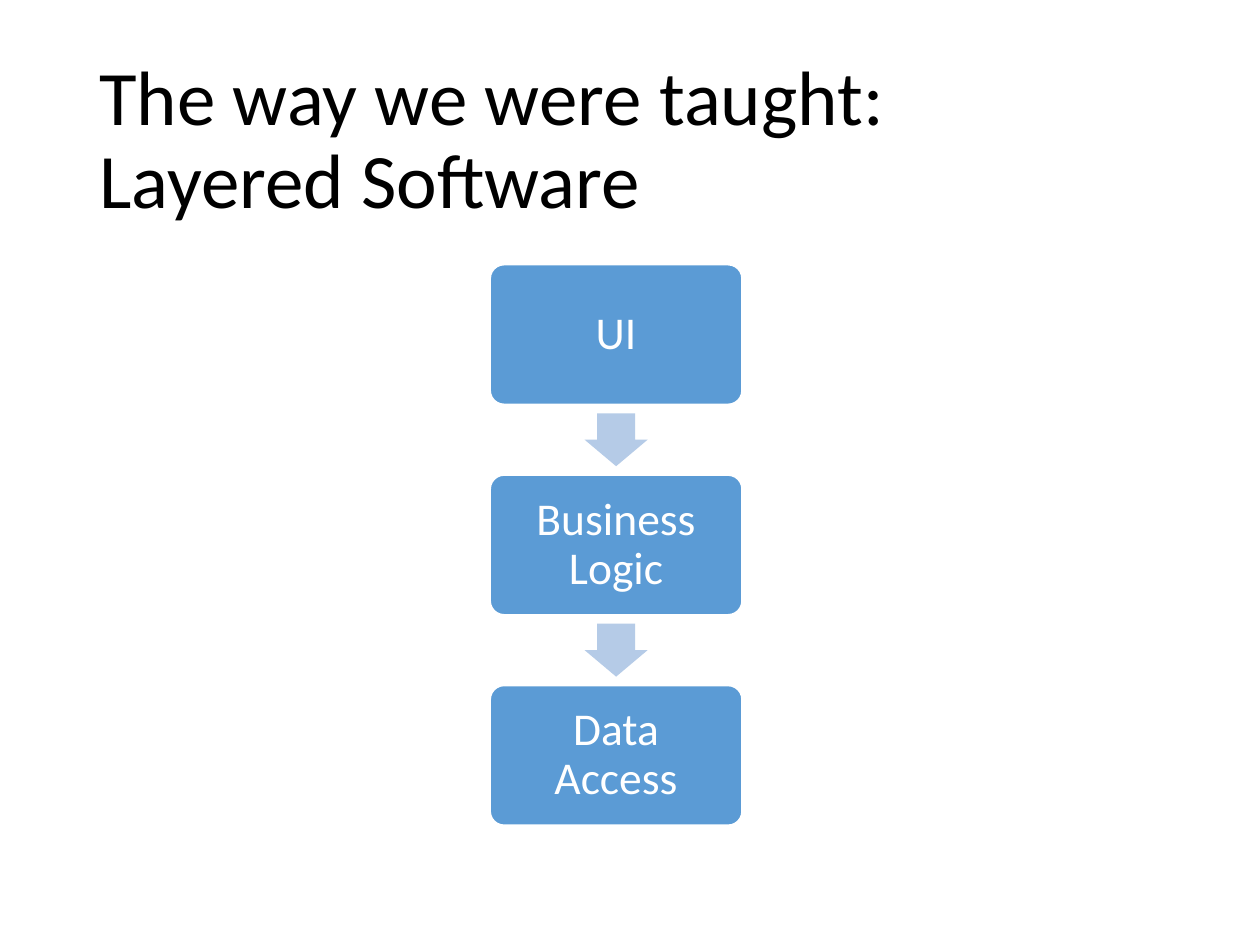
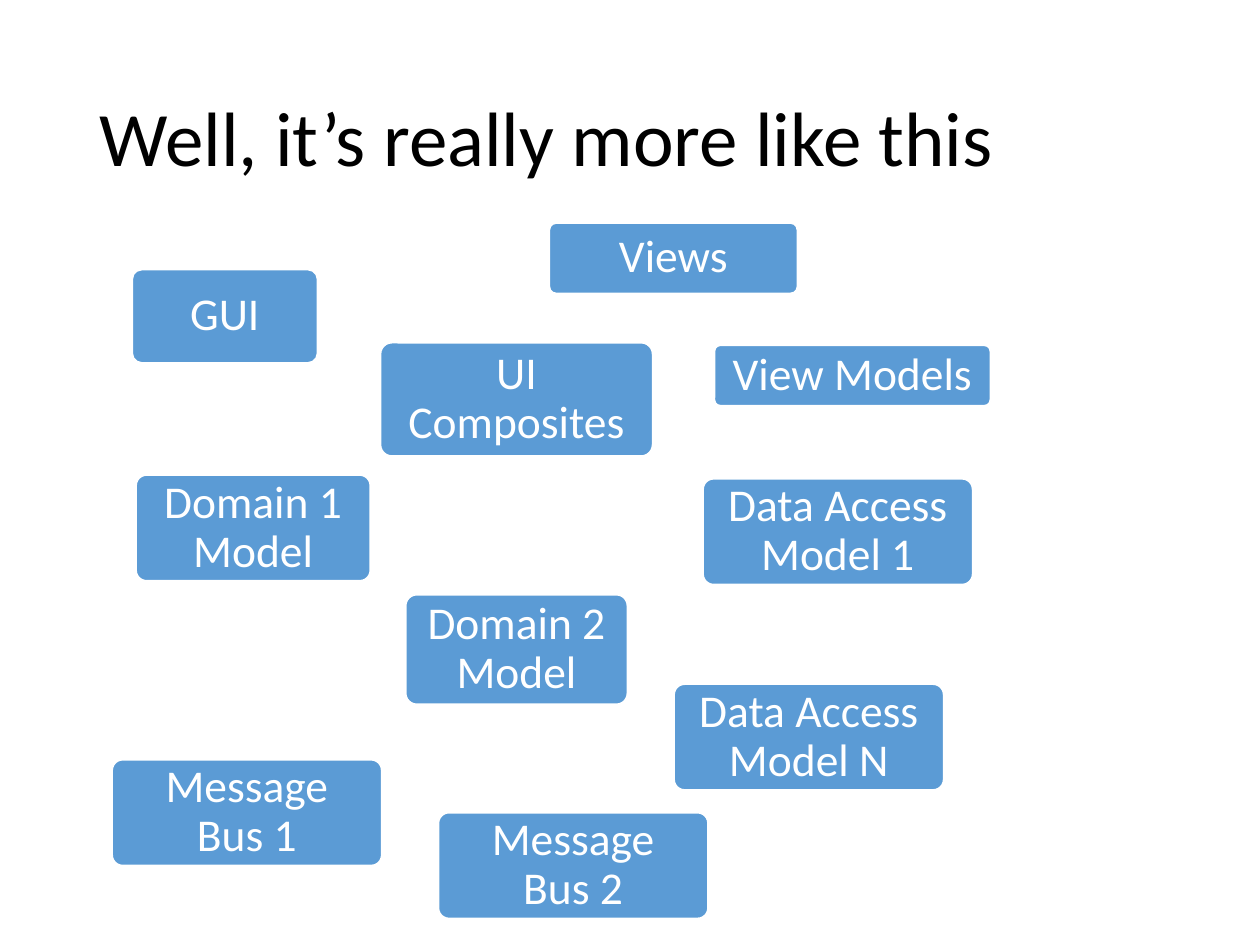
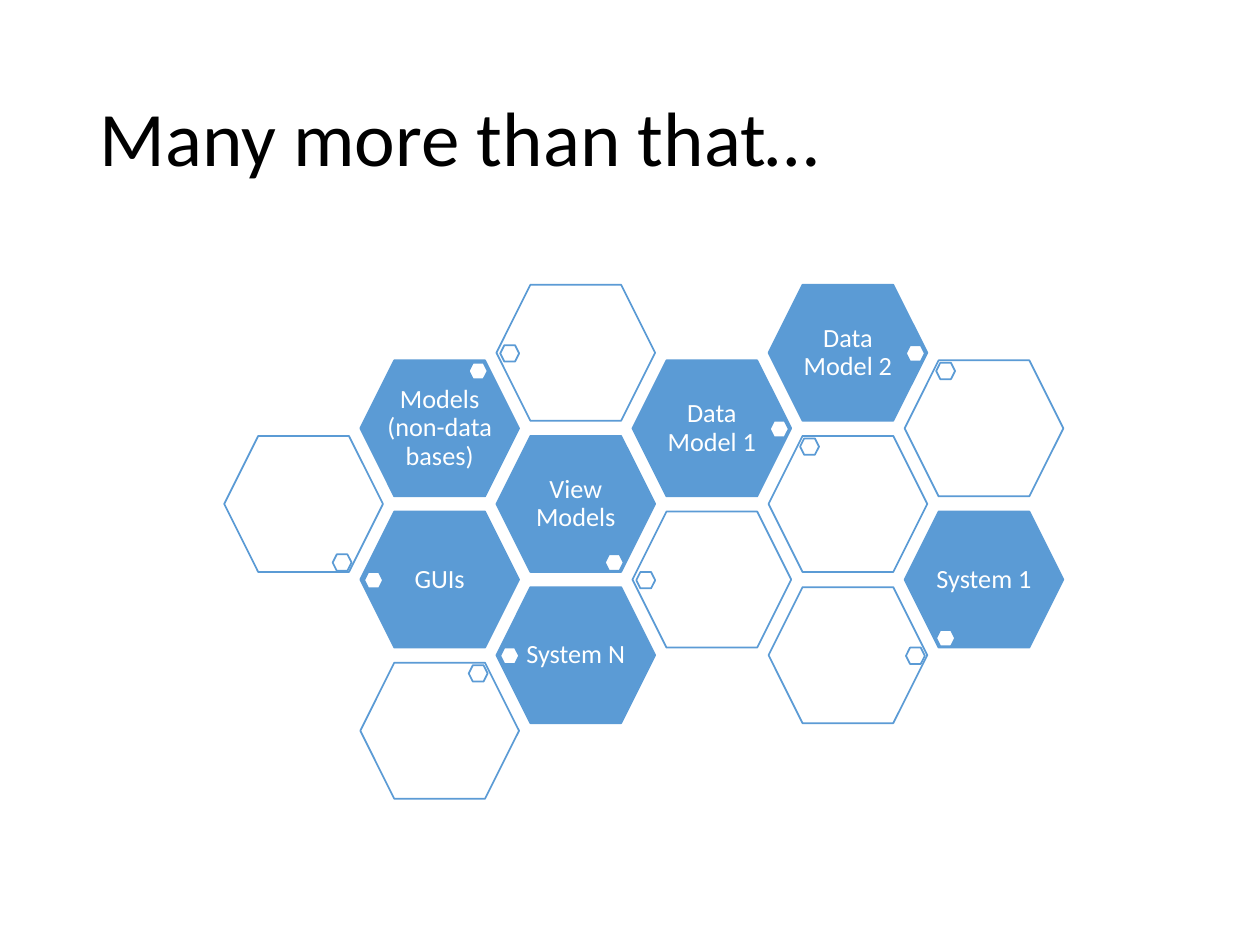
from pptx import Presentation
from pptx.dml.color import RGBColor
from pptx.enum.shapes import MSO_SHAPE as Shape
from pptx.enum.text import MSO_ANCHOR as Anchor, PP_ALIGN as Align
from pptx.oxml.xmlchemy import OxmlElement
from pptx.util import Inches, Pt

FONT = "Calibri"
COLORS = {"title": "000000", "block": "5B9BD5", "arrow": "B5CBE7", "white": "FFFFFF"}


def write(shape, text, size, color, align, inset_x, inset_y):
    frame = shape.text_frame
    frame.word_wrap = True
    frame.vertical_anchor = Anchor.MIDDLE
    frame.margin_left = frame.margin_right = Inches(inset_x)
    frame.margin_top = frame.margin_bottom = Inches(inset_y)
    paragraph = frame.paragraphs[0]
    paragraph.text = text
    paragraph.alignment = align
    paragraph.line_spacing = 0.9
    paragraph.font.name = FONT
    paragraph.font.size = Pt(size)
    paragraph.font.color.rgb = RGBColor.from_string(COLORS[color])


def add_block(slide, preset, box, fill, line=None):
    shape = slide.shapes.add_shape(preset, *map(Inches, box))
    shape.shadow.inherit = False
    shape.fill.solid()
    shape.fill.fore_color.rgb = RGBColor.from_string(COLORS[fill])
    if line:
        shape.line.color.rgb = RGBColor.from_string(COLORS[line])
        shape.line.width = Pt(1)
    else:
        shape.line.fill.background()
    return shape


presentation = Presentation()
presentation.slide_width = Inches(10)
presentation.slide_height = Inches(7.5)

slides = []
for title in ("The way we were taught:\vLayered Software",
              "Well, it’s really more like this",
              "Many more than that…"):
    slide = presentation.slides.add_slide(presentation.slide_layouts[6])
    title_box = slide.shapes.add_textbox(Inches(0.69), Inches(0.4), Inches(8.62), Inches(1.45))
    write(title_box, title, 44, "title", Align.LEFT, 0.1, 0.05)
    slides.append(slide)
layers_slide, parts_slide, hive_slide = slides

# Rounded boxes: a column of layers, then scattered parts
LAYER_TOP, LAYER_PITCH = 2.1, 1.67
layers = [(name, 3.89, LAYER_TOP + row * LAYER_PITCH, 2, 1.11)
          for row, name in enumerate(("UI", "Business Logic", "Data Access"))]
parts = [
    ("GUI", 1.05, 2.14, 1.47, 0.74),
    ("Domain 1 Model", 1.08, 3.77, 1.86, 0.84),
    ("UI Composites", 3.02, 2.72, 2.16, 0.9),
    ("Views", 4.36, 1.77, 1.97, 0.56),
    ("View Models", 5.67, 2.74, 2.19, 0.48),
    ("Domain 2 Model", 3.22, 4.72, 1.76, 0.87),
    ("Data Access Model 1", 5.58, 3.8, 2.14, 0.84),
    ("Data Access Model N", 5.35, 5.43, 2.14, 0.84),
    ("Message Bus 1", 0.89, 6.03, 2.14, 0.84),
    ("Message Bus 2", 3.48, 6.45, 2.14, 0.84),
]
for slide, boxes in ((layers_slide, layers), (parts_slide, parts)):
    for name, *box in boxes:
        rounded_box = add_block(slide, Shape.ROUNDED_RECTANGLE, box, "block", "white")
        rounded_box.adjustments[0] = 0.1
        write(rounded_box, name, 26, "white", Align.CENTER, 0.11, 0.11)

for row in range(len(layers) - 1):
    arrow_top = LAYER_TOP + row * LAYER_PITCH + 1.18
    arrow = add_block(layers_slide, Shape.DOWN_ARROW, (4.64, arrow_top, 0.5, 0.42), "arrow")
    arrow.adjustments[0] = 0.6
    arrow.adjustments[1] = 0.5

# Honeycomb: each cell has a column, a half-height row and a small marker
HIVE_LEFT, HIVE_TOP = 1.78, 2.26
COLUMN_PITCH, ROW_PITCH = 1.08, 0.6
MARKER_OFFSETS = {
    "west": (0.03, 0.48), "east": (1.09, 0.48),
    "northwest": (0.25, 0.02), "northeast": (0.86, 0.02),
    "southwest": (0.25, 0.94), "southeast": (0.86, 0.94),
}
cells = [
    ("GUIs", 1, 3, "west"),
    ("", 0, 2, "southeast"),
    ("View Models", 2, 2, "southeast"),
    ("", 3, 3, "west"),
    ("Models (non-data bases)", 1, 1, "northeast"),
    ("", 2, 0, "west"),
    ("Data Model 1", 3, 1, "east"),
    ("", 4, 2, "northwest"),
    ("Data Model 2", 4, 0, "east"),
    ("", 5, 1, "northwest"),
    ("System 1", 5, 3, "southwest"),
    ("", 4, 4, "east"),
    ("System N", 2, 4, "west"),
    ("", 1, 5, "northeast"),
]
for name, column, row, corner in cells:
    left = HIVE_LEFT + column * COLUMN_PITCH
    top = HIVE_TOP + row * ROW_PITCH
    cell = add_block(hive_slide, Shape.HEXAGON, (left, top, 1.26, 1.08),
                     "block" if name else "white", "block")
    if name:
        write(cell, name, 15, "white", Align.CENTER, 0, 0.02)
    else:
        alpha = OxmlElement("a:alpha")
        alpha.set("val", "90000")
        cell.fill._xPr.solidFill.find("{*}srgbClr").append(alpha)
    offset_x, offset_y = MARKER_OFFSETS[corner]
    add_block(hive_slide, Shape.HEXAGON, (left + offset_x, top + offset_y, 0.15, 0.13),
              "white", "block")

presentation.save("out.pptx")
